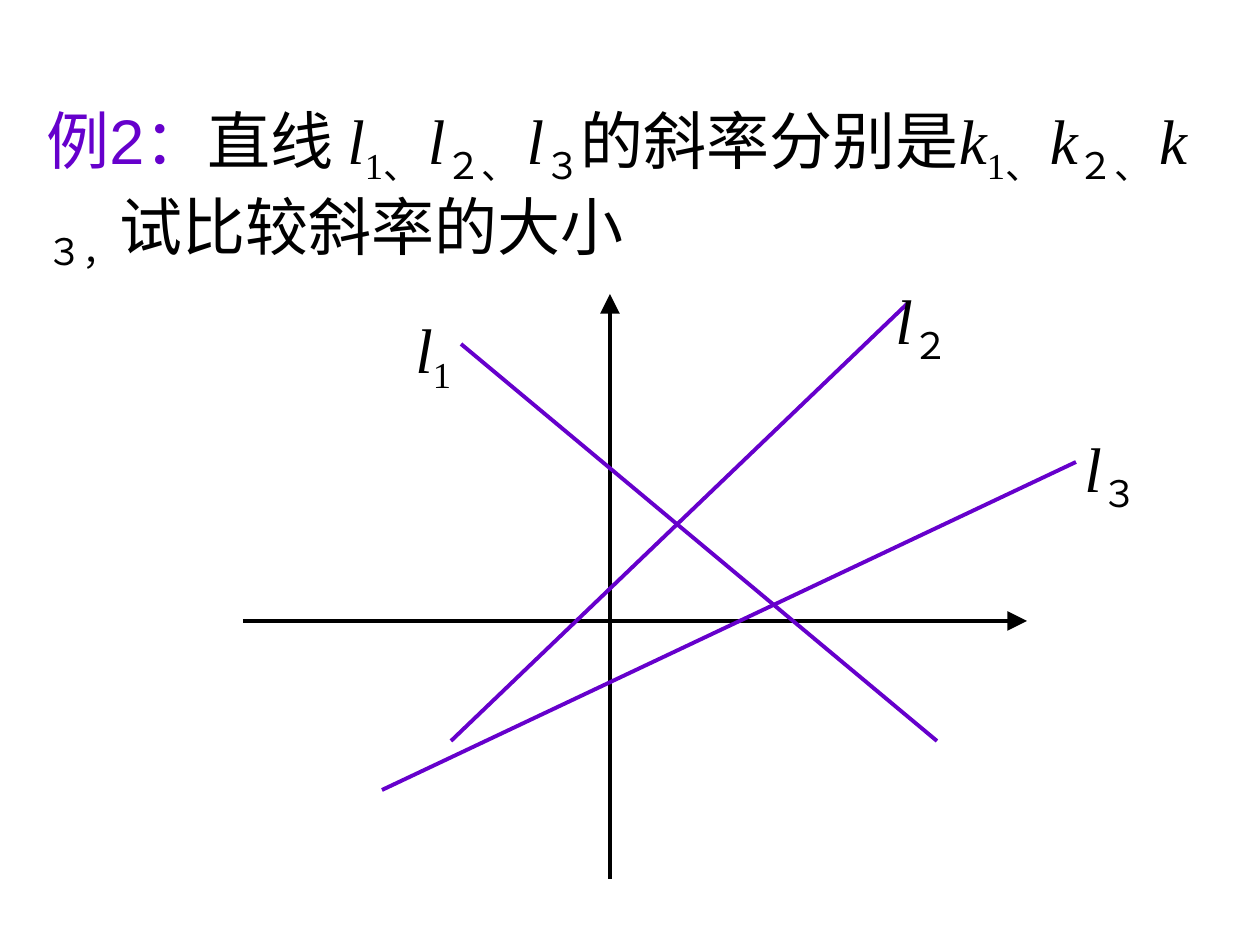
from typing import NamedTuple

from lxml import etree
from pptx import Presentation
from pptx.dml.color import RGBColor
from pptx.enum import shapes, text
from pptx.oxml import ns
from pptx import util as u

EMU_PER_PX = 914400 / 126
PURPLE = RGBColor(0x66, 0x00, 0xCC)
BLACK = RGBColor(0x00, 0x00, 0x00)
SANS, SERIF = "Arial", "Times New Roman"


class Line(NamedTuple):
    x1: int
    y1: int
    x2: int
    y2: int
    color: RGBColor
    arrow: bool = False


class Run(NamedTuple):
    text: str
    font: str = SERIF
    color: RGBColor = BLACK
    italic: bool = False
    sub: bool = False


class Box(NamedTuple):
    x: int
    y: int
    w: int
    h: int
    runs: list[Run]
    wrap: bool = False


def px(n: int) -> u.Emu:
    return u.Emu(round(n * EMU_PER_PX))


def symbol(letter: str, index: str) -> list[Run]:
    """An italic letter followed by its subscript."""
    return [Run(letter, italic=True), Run(index, sub=True)]


def draw_line(s, line: Line) -> None:
    sp = s.shapes.add_connector(
        shapes.MSO_CONNECTOR.STRAIGHT,
        px(line.x1), px(line.y1), px(line.x2), px(line.y2))
    sp.line.color.rgb = line.color
    sp.line.width = u.Pt(2.25)
    if line.arrow:
        ln = sp.line._get_or_add_ln()
        etree.SubElement(ln, ns.qn("a:tailEnd"),
                         type="triangle", w="lg", len="lg")
    etree.SubElement(sp._element.spPr, ns.qn("a:effectLst"))


def draw_box(s, box: Box) -> None:
    sp = s.shapes.add_textbox(px(box.x), px(box.y), px(box.w), px(box.h))
    tf = sp.text_frame
    tf.word_wrap = box.wrap
    tf.auto_size = text.MSO_AUTO_SIZE.SHAPE_TO_FIT_TEXT
    p = tf.paragraphs[0]
    for run in box.runs:
        r = p.add_run()
        r.text = run.text
        r.font.size = u.Pt(36)
        r.font.name = run.font
        r.font.italic = run.italic
        r.font.color.rgb = run.color
        if run.sub:
            r.font._element.set("baseline", "-25000")


AXES = [
    Line(243, 621, 1027, 621, BLACK, arrow=True),
    Line(610, 879, 610, 294, BLACK, arrow=True),
]

QUESTION = Box(34, 95, 1196, 185, [
    Run("例2：", SANS, PURPLE),
    Run("直线 ", SANS),
    *symbol("l", "1、 "),
    *symbol("l", "２、 "),
    *symbol("l", "３"),
    Run("的斜率分别是"),
    *symbol("k", "1、 "),
    *symbol("k", "２、 "),
    *symbol("k", "３，"),
    Run("试比较斜率的大小"),
], wrap=True)

SLOPES = [
    Line(382, 790, 1076, 462, PURPLE),
    Line(451, 741, 907, 304, PURPLE),
    Line(937, 741, 461, 344, PURPLE),
]

LABELS = [
    Box(403, 304, 66, 100, symbol("l", "1")),
    Box(883, 275, 95, 100, symbol("l", "２")),
    Box(1072, 423, 95, 100, symbol("l", "３")),
]


def main() -> None:
    prs = Presentation()
    prs.slide_width, prs.slide_height = px(1260), px(945)
    s = prs.slides.add_slide(prs.slide_layouts[6])

    # Coordinate axes
    for axis in AXES:
        draw_line(s, axis)

    # Question
    draw_box(s, QUESTION)

    # The three lines and their names
    for line in SLOPES:
        draw_line(s, line)
    for label in LABELS:
        draw_box(s, label)

    prs.save("out.pptx")


if __name__ == "__main__":
    main()
